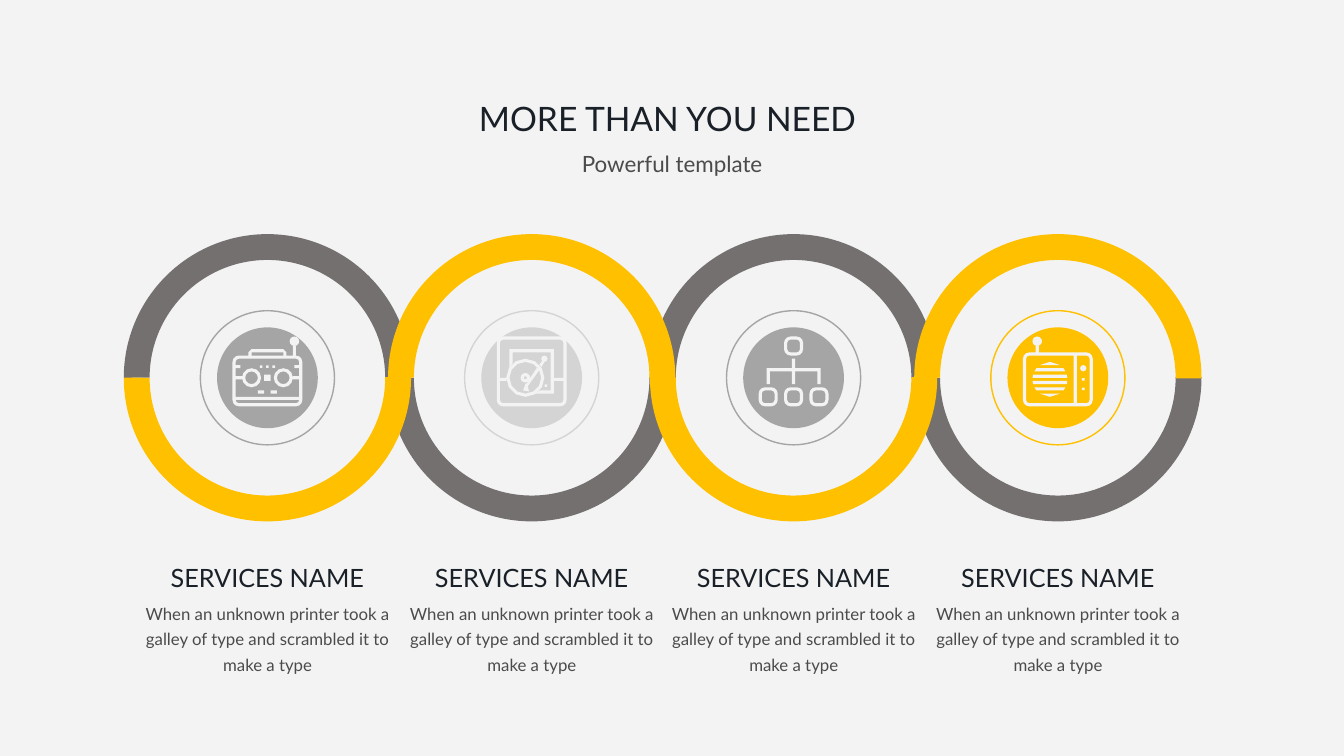
import math
import pptx
import pptx.util
import pptx.dml.color
import pptx.enum.shapes
import pptx.enum.text

Cm, Pt = pptx.util.Cm, pptx.util.Pt
KIND = pptx.enum.shapes.MSO_SHAPE
ALIGN = pptx.enum.text.PP_ALIGN
FIT = pptx.enum.text.MSO_AUTO_SIZE

HUES = {"back": "F3F3F3", "dark": "757070", "gold": "FFC000", "grey": "A5A5A5",
        "pale": "D4D4D4", "head": "1A2028", "body": "4B4B4B"}
RGB = {name: pptx.dml.color.RGBColor.from_string(code) for name, code in HUES.items()}

deck = pptx.Presentation()
deck.slide_width, deck.slide_height = Cm(33.87), Cm(19.05)
slide = deck.slides.add_slide(deck.slide_layouts[6])
slide.background.fill.solid()
slide.background.fill.fore_color.rgb = RGB["back"]
shapes = slide.shapes


def write(text, left, top, width, height, size, hue, align=ALIGN.CENTER, wrap=False):
    box = shapes.add_textbox(Cm(left), Cm(top), Cm(width), Cm(height))
    frame = box.text_frame
    frame.margin_left = frame.margin_top = frame.margin_right = frame.margin_bottom = 0
    frame.word_wrap = wrap
    frame.auto_size = FIT.NONE if wrap else FIT.SHAPE_TO_FIT_TEXT
    para = frame.paragraphs[0]
    para.alignment = align
    if wrap:
        para.line_spacing = 1.25
    run = para.add_run()
    run.text = text
    run.font.name, run.font.size = "Lato", Pt(size)
    run.font.color.rgb = RGB[hue]


def curve(x, y, w, h, r):
    """Return the outline points of a box with corner radius r."""
    if not r:
        return [(x, y), (x + w, y), (x + w, y + h), (x, y + h)]
    turns = [(x + w - r, y + h - r, 0), (x + r, y + h - r, 90),
             (x + r, y + r, 180), (x + w - r, y + r, 270)]
    step = 30 if r > 1 else 45
    stop = 90 if w == 2 * r else 91
    return [(cx + r * math.cos(math.radians(start + turn)),
             cy + r * math.sin(math.radians(start + turn)))
            for cx, cy, start in turns for turn in range(0, stop, step)]


# Icons lie on a grid of 22 by 22 cells. A ring is a box outline one cell thick;
# rings and boxes are (left, top, width, height, corner radius).
radio = {
    "rings": [(0, 6, 22, 16, 2), (3, 10, 6, 6, 3), (13, 10, 6, 6, 3)],
    "boxes": [(10, 12, 2, 2, 0), (8, 17, 2, 1, 0), (12, 17, 2, 1, 0),
              (8.6, 9.1, 0.8, 0.8, 0), (10.6, 9.1, 0.8, 0.8, 0),
              (12.6, 9.1, 0.8, 0.8, 0), (1, 19, 20, 1, 0),
              (1, 12.5, 2, 1, 0), (19, 12.5, 2, 1, 0),
              (1, 9, 1.5, 1, 0), (19.5, 9, 1.5, 1, 0),
              (18, 0, 3, 3, 1.5), (19, 3, 1, 3, 0)],
    "polys": [[(5, 6), (5, 5), (6, 4), (16, 4), (17, 5), (17, 6),
               (16, 6), (16, 5), (6, 5), (6, 6)]]}
player = {
    "rings": [(0, 0, 22, 22, 2), (3, 7, 12, 12, 6), (7.5, 11.5, 3, 3, 1.5)],
    "boxes": [(1, 13, 2, 1, 0), (18, 13, 3, 1, 0), (14, 6, 2, 2, 1),
              (15.1, 15.1, 0.8, 0.8, 0)],
    "polys": [
        [(4, 9.7), (4, 4), (18, 4), (18, 18), (12.3, 18), (13.5, 17), (17, 17),
         (17, 5), (5, 5), (5, 8.5)],
        [(14.3, 7.7), (13.4, 8.9), (14.1, 9.6), (15, 8)],
        [(12.8, 9.6), (10.5, 13.1), (9.9, 14.4), (9, 15), (8.3, 17),
         (10.2, 17.3), (9.9, 16.3), (9.8, 15.6), (13.4, 10.6)]]}
tree = {
    "rings": [(8, 0, 6, 6, 2)] + [(x, 16, 6, 6, 2) for x in (0, 8, 16)],
    "boxes": [(10.5, 7, 1, 3, 0), (2.5, 10, 17, 1, 0)]
             + [(x, 11, 1, 4, 0) for x in (2.5, 10.5, 18.5)],
    "polys": []}
bars = []
for y in range(8, 19, 2):
    top, base = (math.sqrt(5.5 ** 2 - (v - 13.5) ** 2) for v in (y, y + 1))
    bars.append([(8.5 - top, y), (8.5 + top, y), (8.5 + base, y + 1), (8.5 - base, y + 1)])
telly = {
    "rings": [(0, 5, 22, 17, 2)],
    "boxes": [(16, 6, 1, 15, 0), (18, 9, 2, 2, 1), (18.6, 13.1, 0.8, 0.8, 0),
              (18.6, 16.1, 0.8, 0.8, 0), (3, 0, 3, 3, 1.5), (4, 3, 1, 2, 0)],
    "polys": bars}

# Centre of each service, icon colour, icon
items = [(6.74, "grey", radio), (13.4, "pale", player),
         (20, "grey", tree), (26.66, "gold", telly)]
MID = 9.52

# Half rings: dark ones behind, gold ones in front, halves swapping each time
for first, hue in enumerate(("dark", "gold")):
    for i, (mid, _, _) in enumerate(items):
        arc = shapes.add_shape(KIND.BLOCK_ARC, Cm(mid - 3.62), Cm(MID - 3.62),
                               Cm(7.24), Cm(7.24))
        arc.adjustments[0] = 108
        arc.adjustments[1] = 0.17
        arc.adjustments[2] = 0.09
        if (i + first) % 2:
            arc.element.spPr.xfrm.set("flipV", "1")
        arc.fill.solid()
        arc.fill.fore_color.rgb = RGB[hue]
        arc.line.fill.background()
        arc.shadow.inherit = False

for mid, hue, _ in items:
    for rad, solid in ((1.27, True), (1.69, False)):
        disc = shapes.add_shape(KIND.OVAL, Cm(mid - rad), Cm(MID - rad),
                                Cm(2 * rad), Cm(2 * rad))
        disc.shadow.inherit = False
        if solid:
            disc.fill.solid()
            disc.fill.fore_color.rgb = RGB[hue]
            disc.line.fill.background()
        else:
            disc.fill.background()
            disc.line.color.rgb = RGB[hue]
            disc.line.width = Pt(1)

write("MORE THAN YOU NEED", 12.07, 2.46, 9.75, 1.02, 24, "head", ALIGN.LEFT)
write("Powerful template", 14.58, 3.78, 4.72, 0.69, 16, "body")

for mid, _, icon in items:
    lines = [curve(*box) for box in icon["boxes"]] + icon["polys"]
    for x, y, w, h, r in icon["rings"]:
        lines += [curve(x, y, w, h, r), curve(x + 1, y + 1, w - 2, h - 2, r - 1)]
    lines = [[(x * 100, y * 100) for x, y in line] for line in lines]
    pen = shapes.build_freeform(*lines[0][0], scale=Cm(0.08) / 100)
    for i, line in enumerate(lines):
        if i:
            pen.move_to(*line[0])
        pen.add_line_segments(line[1:], close=True)
    sign = pen.convert_to_shape(Cm(mid - 0.88), Cm(8.48))
    sign.fill.solid()
    sign.fill.fore_color.rgb = RGB["back"]
    sign.line.fill.background()
    sign.shadow.inherit = False

for mid, _, _ in items:
    write("SERVICES NAME", mid - 2.49, 14.17, 4.98, 0.76, 18, "head")
    write("When an unknown printer took a galley of type and scrambled it to make a type",
          mid - 3.12, 15.09, 6.25, 1.4, 12, "body", wrap=True)

deck.save("out.pptx")
